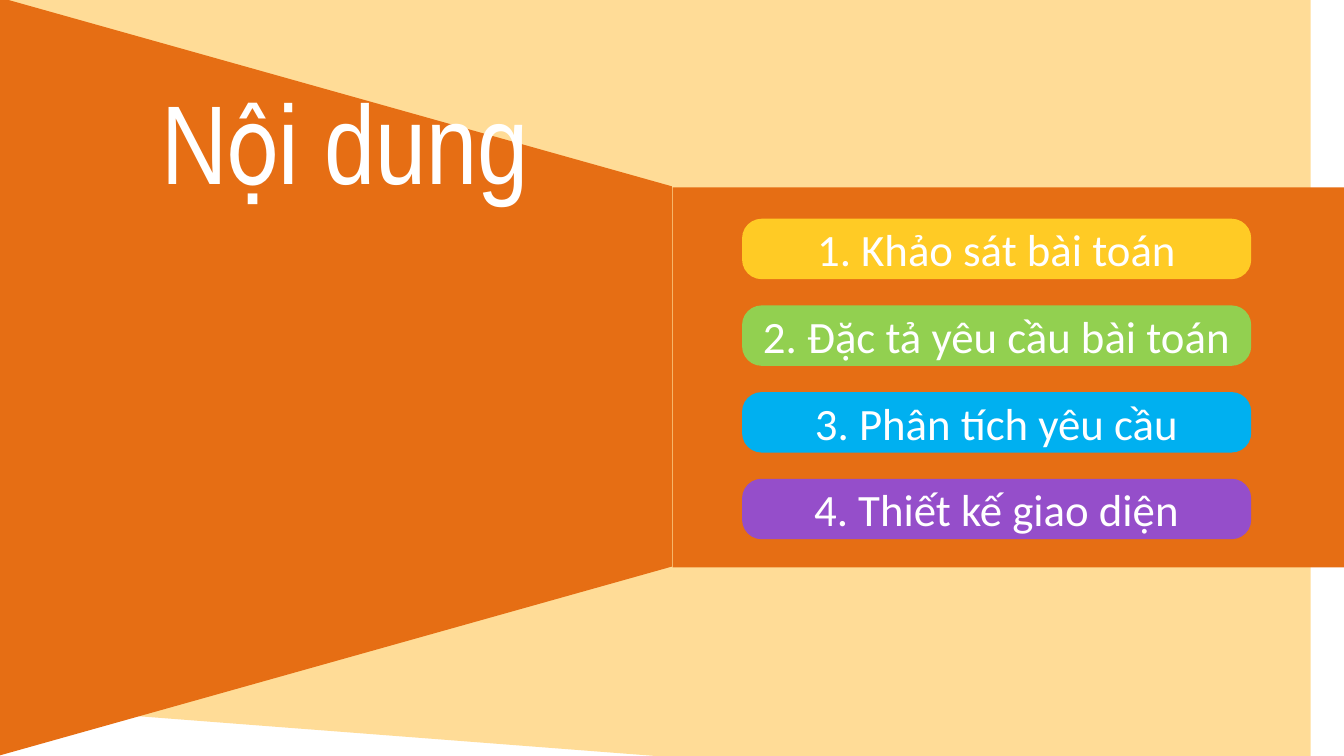
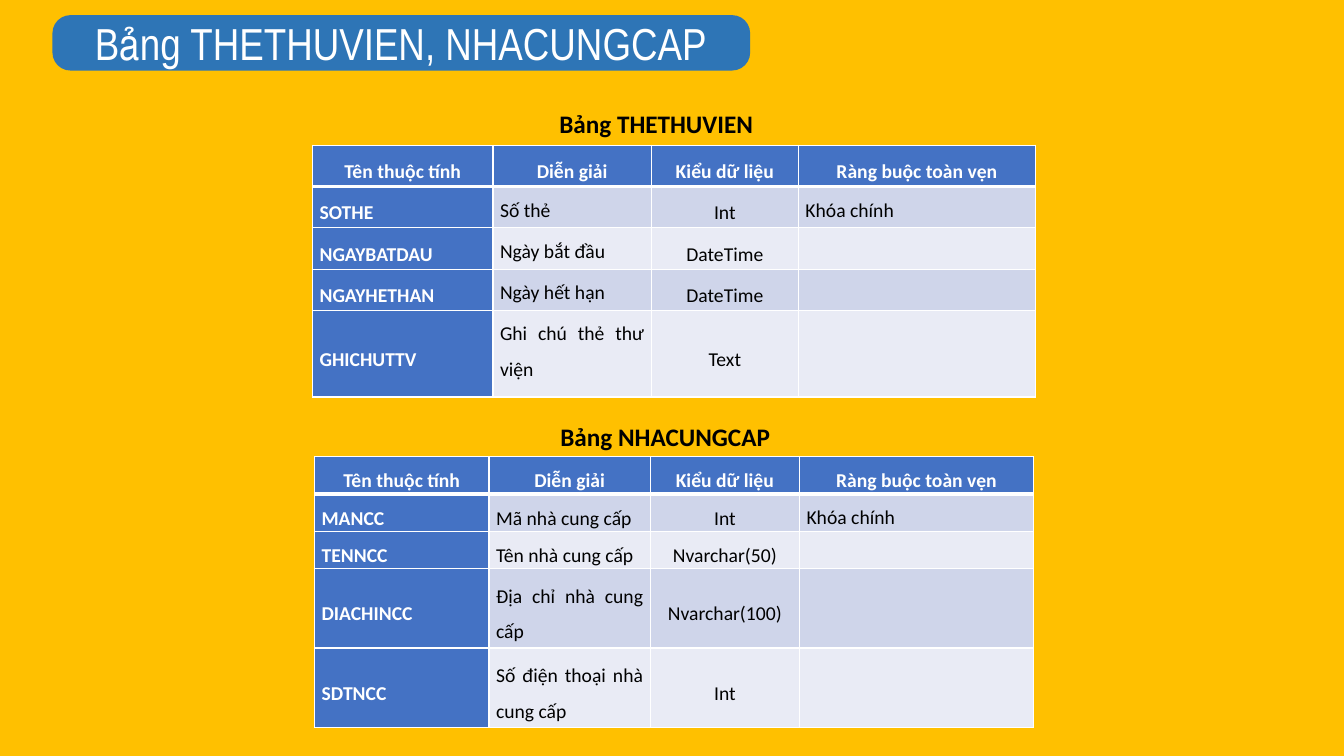
from lxml import etree
from pptx import Presentation
from pptx.dml.color import RGBColor
from pptx.enum.shapes import MSO_SHAPE
from pptx.enum.text import MSO_ANCHOR, MSO_AUTO_SIZE, PP_ALIGN
from pptx.oxml.ns import qn
from pptx.util import Inches, Pt

ROUNDED, RECTANGLE, TRAPEZOID = MSO_SHAPE.ROUNDED_RECTANGLE, MSO_SHAPE.RECTANGLE, MSO_SHAPE.TRAPEZOID
TOP, MIDDLE = MSO_ANCHOR.TOP, MSO_ANCHOR.MIDDLE
LEFT, CENTER, JUSTIFY = PP_ALIGN.LEFT, PP_ALIGN.CENTER, PP_ALIGN.JUSTIFY
NO_AUTOFIT = MSO_AUTO_SIZE.NONE

WHITE = RGBColor(0xFF, 0xFF, 0xFF)
BLACK = RGBColor(0x00, 0x00, 0x00)
CREAM = RGBColor(0xFF, 0xDC, 0x97)
ORANGE = RGBColor(0xE6, 0x6E, 0x14)
AMBER = RGBColor(0xFF, 0xC0, 0x00)
YELLOW = RGBColor(0xFF, 0xCB, 0x25)
GREEN = RGBColor(0x92, 0xD0, 0x50)
SKY = RGBColor(0x00, 0xB0, 0xF0)
PURPLE = RGBColor(0x95, 0x4E, 0xCA)
BANNER_BLUE = RGBColor(0x2E, 0x75, 0xB6)
TABLE_BLUE = RGBColor(0x44, 0x72, 0xC4)
BANDS = [RGBColor(0xCF, 0xD5, 0xEA), RGBColor(0xE9, 0xEB, 0xF5)]

TITLE_FONT, BODY_FONT = "Arial Narrow", "Calibri"
CORNER = 0.325


def write(frame, text, size, color, align=CENTER, anchor=MIDDLE, font=BODY_FONT, bold=False):
    frame.word_wrap = True
    frame.vertical_anchor = anchor
    para = frame.paragraphs[0]
    para.alignment = align
    span = para.add_run()
    span.text = text
    span.font.name = font
    span.font.size = Pt(size)
    span.font.bold = bold
    span.font.color.rgb = color
    return para


def add_block(page, kind, left, top, width, height, color, adjustment=None):
    block = page.shapes.add_shape(kind, Inches(left), Inches(top), Inches(width), Inches(height))
    block.shadow.inherit = False
    block.fill.solid()
    block.fill.fore_color.rgb = color
    block.line.fill.background()
    if adjustment is not None:
        block.adjustments[0] = adjustment
    return block


deck = Presentation()
deck.slide_width, deck.slide_height = Inches(13.33), Inches(7.5)
title_only = deck.slide_layouts[5]
contents = deck.slides.add_slide(title_only)
tables = deck.slides.add_slide(title_only)

# Contents: cream backdrop and orange funnel
outline = contents.shapes.build_freeform(0, 0, scale=Inches(1))
outline.add_line_segments([(13.33, 0), (13.37, 7.52), (0, 7.49)], close=True)
backdrop = outline.convert_to_shape()
backdrop.shadow.inherit = False
backdrop.fill.solid()
backdrop.fill.fore_color.rgb = CREAM
backdrop.line.fill.background()
add_block(contents, RECTANGLE, 6.67, 1.86, 6.71, 3.77, ORANGE)
funnel = add_block(contents, TRAPEZOID, -0.43, 0.4, 7.52, 6.67, ORANGE, 0.281)
funnel.rotation = 90

# Contents: numbered bars
topics = [
    ("1. Khảo sát bài toán", YELLOW),
    ("2. Đặc tả yêu cầu bài toán", GREEN),
    ("3. Phân tích yêu cầu", SKY),
    ("4. Thiết kế giao diện", PURPLE),
]
for index, (topic, color) in enumerate(topics):
    bar = add_block(contents, ROUNDED, 7.36, 2.17 + 0.86 * index, 5.05, 0.6, color, CORNER)
    write(bar.text_frame, topic, 32, WHITE)

# Tables: background and title banner
tables.background.fill.solid()
tables.background.fill.fore_color.rgb = AMBER
add_block(tables, ROUNDED, 0.52, 0.15, 6.92, 0.55, BANNER_BLUE, CORNER)

# Titles, brought in front of the shapes behind them
titles = [
    (contents, "Nội dung", (0.59, 0.67, 5.67, 6.15), 80, TOP),
    (tables, "Bảng THETHUVIEN, NHACUNGCAP", (0.52, 0.15, 6.92, 0.55), 32, MIDDLE),
]
for page, text, bounds, size, anchor in titles:
    title = page.shapes.title
    title.left, title.top, title.width, title.height = [Inches(value) for value in bounds]
    title.text_frame.auto_size = NO_AUTOFIT
    write(title.text_frame, text, size, WHITE, CENTER, anchor, TITLE_FONT)
    title.element.getparent().append(title.element)

# Tables: captions and attribute tables
header = ["Tên thuộc tính", "Diễn giải", "Kiểu dữ liệu", "Ràng buộc toàn vẹn"]
schemas = [
    {
        "caption": "Bảng THETHUVIEN", "caption_at": (5.45, 1.03), "at": (3.1, 1.44),
        "columns": [1.79, 1.57, 1.46, 2.35], "heights": [0.41] * 4 + [0.86],
        "description_anchor": TOP,
        "rows": [
            ["SOTHE", "Số thẻ", "Int", "Khóa chính"],
            ["NGAYBATDAU", "Ngày bắt đầu", "DateTime", ""],
            ["NGAYHETHAN", "Ngày hết hạn", "DateTime", ""],
            ["GHICHUTTV", "Ghi chú thẻ thư viện", "Text", ""],
        ],
    },
    {
        "caption": "Bảng NHACUNGCAP", "caption_at": (5.46, 4.13), "at": (3.12, 4.53),
        "columns": [1.73, 1.6, 1.48, 2.32], "heights": [0.37] * 3 + [0.79] * 2,
        "description_anchor": MIDDLE,
        "rows": [
            ["MANCC", "Mã nhà cung cấp", "Int", "Khóa chính"],
            ["TENNCC", "Tên nhà cung cấp", "Nvarchar(50)", ""],
            ["DIACHINCC", "Địa chỉ nhà cung cấp", "Nvarchar(100)", ""],
            ["SDTNCC", "Số điện thoại nhà cung cấp", "Int", ""],
        ],
    },
]
for schema in schemas:
    left, top = schema["caption_at"]
    caption = tables.shapes.add_textbox(Inches(left), Inches(top), Inches(2.44), Inches(0.4))
    write(caption.text_frame, schema["caption"], 18, BLACK, LEFT, TOP, bold=True)

    left, top = schema["at"]
    widths, heights = schema["columns"], schema["heights"]
    table = tables.shapes.add_table(
        len(heights), len(widths), Inches(left), Inches(top),
        Inches(sum(widths)), Inches(sum(heights))).table
    for column, width in zip(table.columns, widths):
        column.width = Inches(width)
    for row, height in zip(table.rows, heights):
        row.height = Inches(height)

    body_anchors = [MIDDLE, schema["description_anchor"], MIDDLE, TOP]
    for row_index, texts in enumerate([header] + schema["rows"]):
        for column_index, text in enumerate(texts):
            cell = table.cell(row_index, column_index)
            cell.margin_left = cell.margin_right = Inches(0.07)
            cell.margin_top = cell.margin_bottom = 0
            is_header = row_index == 0
            is_label = is_header or column_index == 0

            # White borders, with a heavy rule under the header
            properties = cell._tc.get_or_add_tcPr()
            rules = {"L": 1, "R": 1, "T": 3 if row_index == 1 else 1, "B": 3 if is_header else 1}
            for side, weight in rules.items():
                border = etree.SubElement(properties, qn("a:ln" + side), w=str(Pt(weight)))
                paint = etree.SubElement(border, qn("a:solidFill"))
                etree.SubElement(paint, qn("a:srgbClr"), val=str(WHITE))

            cell.fill.solid()
            cell.fill.fore_color.rgb = TABLE_BLUE if is_label else BANDS[(row_index - 1) % 2]
            if text:
                align = CENTER if is_header or column_index == 2 else JUSTIFY
                anchor = MIDDLE if is_header else body_anchors[column_index]
                para = write(cell.text_frame, text, 14, WHITE if is_label else BLACK,
                             align, anchor, bold=is_label)
                para.line_spacing = 1.5
                cell.vertical_anchor = anchor

deck.save("out.pptx")
